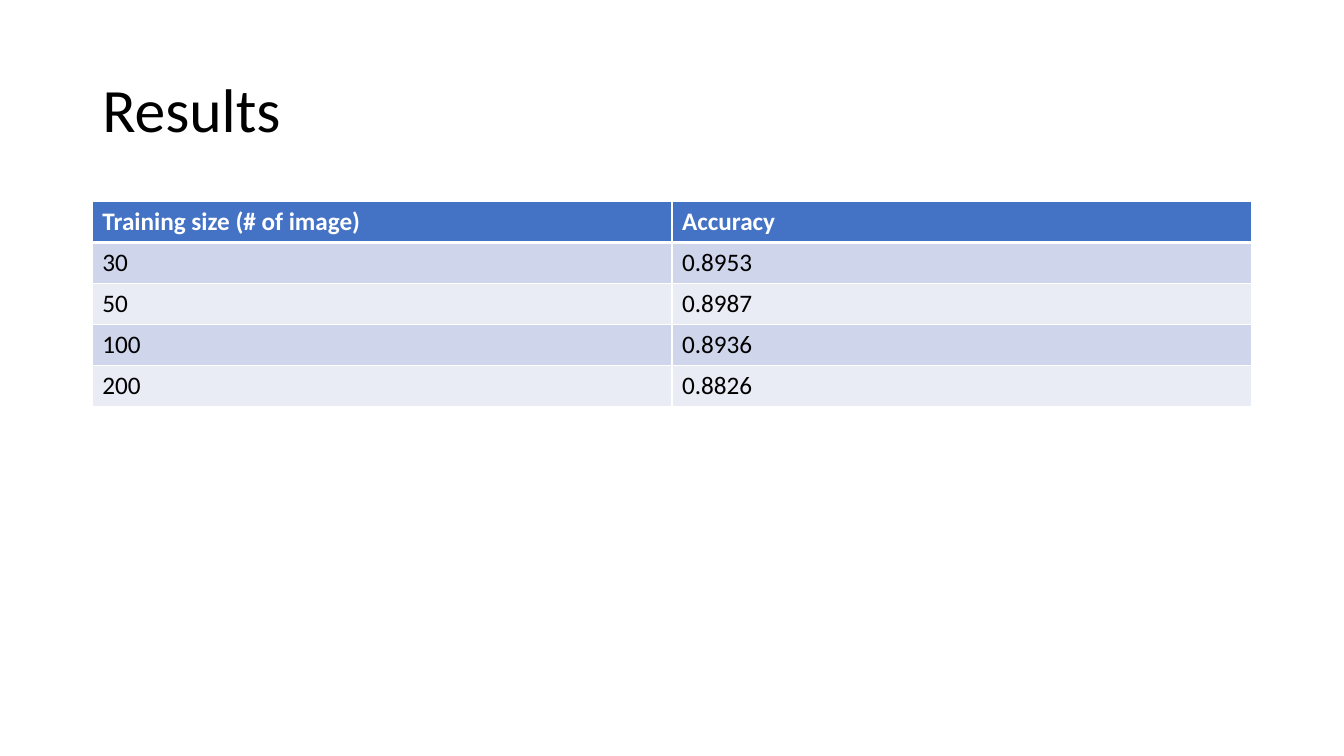
from dataclasses import dataclass

from lxml.etree import SubElement
from pptx import Presentation
from pptx.dml.color import RGBColor
from pptx.enum.text import MSO_ANCHOR
from pptx.oxml.ns import qn
from pptx.util import Pt

PX = 9525  # EMU per px, 96 px to the inch


@dataclass(frozen=True)
class Theme:
    font: str = "Calibri"
    title_size: int = 44
    table_size: int = 18
    text: str = "000000"
    white: str = "FFFFFF"
    header: str = "4472C4"
    bands: tuple = ("CFD5EA", "E9EBF5")
    thin: int = 1
    thick: int = 3


THEME = Theme()

RESULTS = [
    ("Training size (# of image)", "Accuracy"),
    ("30", "0.8953"),
    ("50", "0.8987"),
    ("100", "0.8936"),
    ("200", "0.8826"),
]


def px(*lengths):
    return [n * PX for n in lengths]


def add_run(p, text, size, color, bold=False):
    r = p.add_run()
    r.text = text
    r.font.name = THEME.font
    r.font.size = Pt(size)
    r.font.bold = bold
    r.font.color.rgb = RGBColor.from_string(color)


def add_title(s, text, x, y, w, h):
    tf = s.shapes.add_textbox(*px(x, y, w, h)).text_frame
    tf.word_wrap = True
    tf.vertical_anchor = MSO_ANCHOR.MIDDLE
    p = tf.paragraphs[0]
    p.line_spacing = 0.9
    add_run(p, text, THEME.title_size, THEME.text)


def set_borders(cell, top, bottom):
    tcPr = cell._tc.get_or_add_tcPr()
    widths = {"L": THEME.thin, "R": THEME.thin, "T": top, "B": bottom}
    for side, width in widths.items():
        ln = SubElement(tcPr, qn(f"a:ln{side}"), w=str(Pt(width)))
        fill = SubElement(ln, qn("a:solidFill"))
        SubElement(fill, qn("a:srgbClr"), val=THEME.white)


def style_cell(cell, text, row):
    is_header = row == 0
    # The thick rule lies between the header and the first body row
    set_borders(cell,
                top=THEME.thick if row == 1 else THEME.thin,
                bottom=THEME.thick if is_header else THEME.thin)
    cell.fill.solid()
    color = THEME.header if is_header else THEME.bands[(row - 1) % 2]
    cell.fill.fore_color.rgb = RGBColor.from_string(color)
    add_run(cell.text_frame.paragraphs[0], text, THEME.table_size,
            THEME.white if is_header else THEME.text, bold=is_header)


def add_results_table(s, rows, x, y, w, row_h):
    frame = s.shapes.add_table(len(rows), len(rows[0]),
                               *px(x, y, w, row_h * len(rows)))
    for i, row in enumerate(rows):
        for j, text in enumerate(row):
            style_cell(frame.table.cell(i, j), text, i)


def main():
    prs = Presentation()
    prs.slide_width, prs.slide_height = px(1280, 720)
    s = prs.slides.add_slide(prs.slide_layouts[6])

    # Heading
    add_title(s, "Results", 88, 38, 1104, 139)

    # Accuracy by training size
    add_results_table(s, RESULTS, 88, 192, 1104, 39)

    prs.save("out.pptx")


if __name__ == "__main__":
    main()
